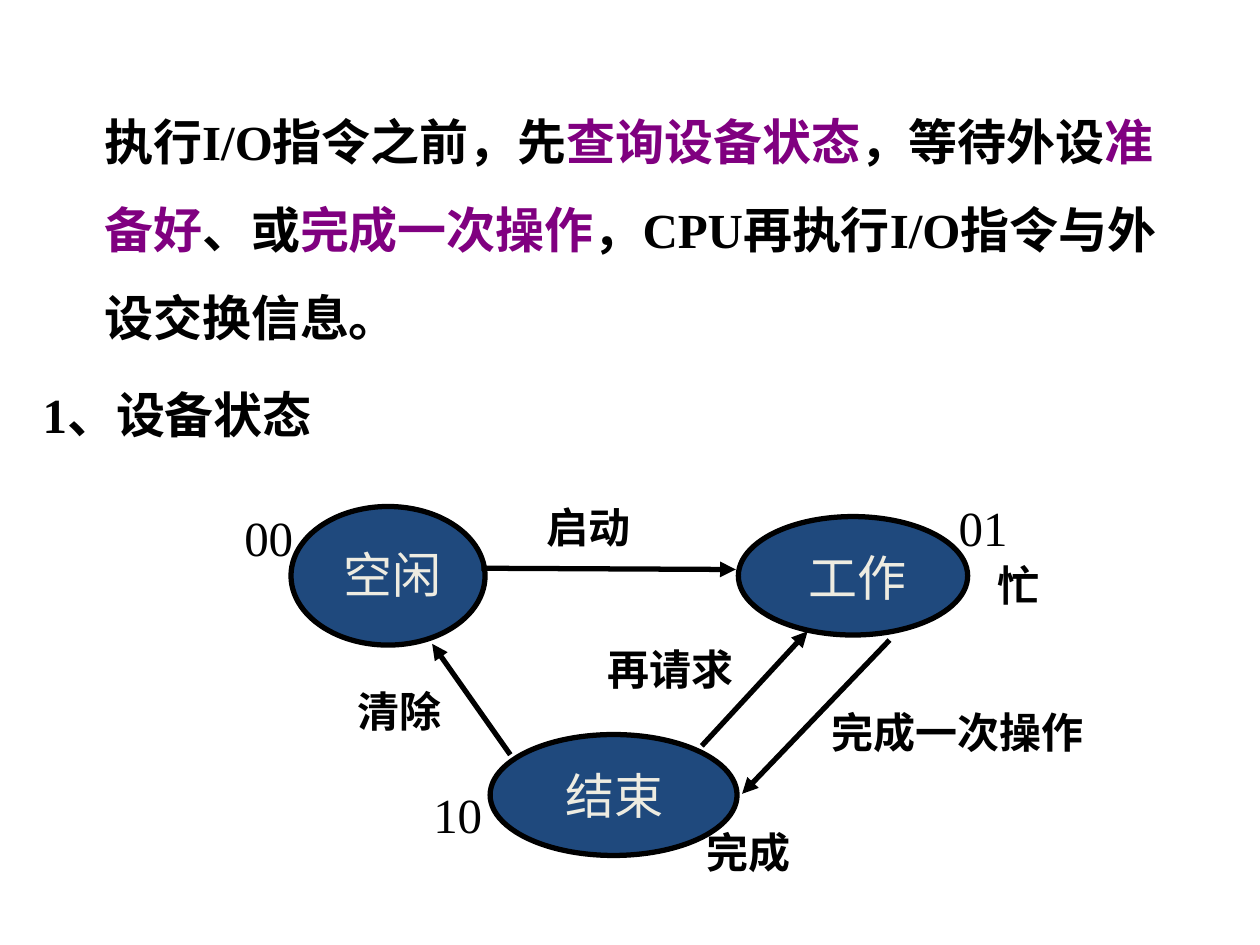
import pptx
import pptx.util
import pptx.dml.color
import pptx.enum.shapes
import pptx.enum.text
import pptx.oxml
import pptx.oxml.ns

PX = 9144  # EMU per px, 100 px to the inch


class Theme:
    font = "Times New Roman"
    ink = pptx.dml.color.RGBColor.from_string("000000")
    accent = pptx.dml.color.RGBColor.from_string("800080")
    node = pptx.dml.color.RGBColor.from_string("1F497D")
    node_text = pptx.dml.color.RGBColor.from_string("EEECE1")
    body = pptx.util.Pt(28)
    label = pptx.util.Pt(24)
    stroke = pptx.util.Pt(3)


def add_text(shapes, box, runs, size, bold=False, spacing=None):
    """Add a wrapped text box; runs is a list of (text, colour)."""
    sp = shapes.add_textbox(*[v * PX for v in box])
    tf = sp.text_frame
    tf.word_wrap = True
    tf.auto_size = pptx.enum.text.MSO_AUTO_SIZE.SHAPE_TO_FIT_TEXT
    p = tf.paragraphs[0]
    if spacing:
        p.line_spacing = spacing
    for text, colour in runs:
        r = p.add_run()
        r.text = text
        r.font.name = Theme.font
        r.font.size = size
        r.font.bold = bold
        r.font.color.rgb = colour


prs = pptx.Presentation()
prs.slide_width = 1000 * PX
prs.slide_height = 750 * PX
s = prs.slides.add_slide(prs.slide_layouts[6])

# States: ellipse and its name, grouped
states = [
    ("空闲", (231, 402, 154, 110), (263, 427, 141, 57)),
    ("工作", (586, 410, 182, 94), (632, 430, 167, 57)),
    ("结束", (389, 583, 196, 96), (439, 603, 179, 57)),
]
for name, oval, box in states:
    group = s.shapes.add_group_shape()
    sp = group.shapes.add_shape(
        pptx.enum.shapes.MSO_SHAPE.OVAL, *[v * PX for v in oval])
    sp.shadow.inherit = False
    sp.fill.solid()
    sp.fill.fore_color.rgb = Theme.node
    sp.line.color.rgb = Theme.ink
    sp.line.width = Theme.stroke
    add_text(group.shapes, box, [(name, Theme.node_text)], Theme.body)

# Transitions: arrow and its label
transitions = [
    ("启动", (382, 451, 584, 452), (424, 393, 124, 50)),
    ("完成一次操作", (706, 508, 589, 630), (650, 556, 240, 50)),
    ("清除", (405, 599, 343, 511), (274, 539, 145, 50)),
    ("再请求", (557, 592, 641, 501), (472, 506, 145, 50)),
]
for name, ends, box in transitions:
    line = s.shapes.add_connector(
        pptx.enum.shapes.MSO_CONNECTOR.STRAIGHT, *[v * PX for v in ends])
    line.line.color.rgb = Theme.ink
    line.line.width = Theme.stroke
    tail = pptx.oxml.parse_xml(
        '<a:tailEnd %s type="triangle"/>' % pptx.oxml.ns.nsdecls("a"))
    line.line._get_or_add_ln().append(tail)
    line._element.spPr.append(pptx.oxml.parse_xml(
        "<a:effectLst %s/>" % pptx.oxml.ns.nsdecls("a")))
    add_text(s.shapes, box, [(name, Theme.ink)], Theme.label, bold=True)

# State codes
for code, box in [("01", (751, 390, 79, 57)),
                  ("10", (334, 618, 71, 57)),
                  ("00", (184, 398, 71, 57))]:
    add_text(s.shapes, box, [(code, Theme.ink)], Theme.body)

# State remarks
for remark, box in [("忙", (782, 439, 64, 50)),
                    ("完成", (551, 651, 209, 50))]:
    add_text(s.shapes, box, [(remark, Theme.ink)], Theme.label, bold=True)

# Introduction and section heading
intro = [
    ("执行I/O指令之前，先", Theme.ink),
    ("查询设备状态", Theme.accent),
    ("，等待外设", Theme.ink),
    ("准备好", Theme.accent),
    ("、或", Theme.ink),
    ("完成一次操作", Theme.accent),
    ("，CPU再执行I/O指令与外设交换信息。", Theme.ink),
]
add_text(s.shapes, (73, 60, 876, 222), intro, Theme.body, True, 1.5)
add_text(s.shapes, (24, 277, 281, 81), [("1、设备状态", Theme.ink)],
         Theme.body, True, 1.5)

prs.save("out.pptx")
